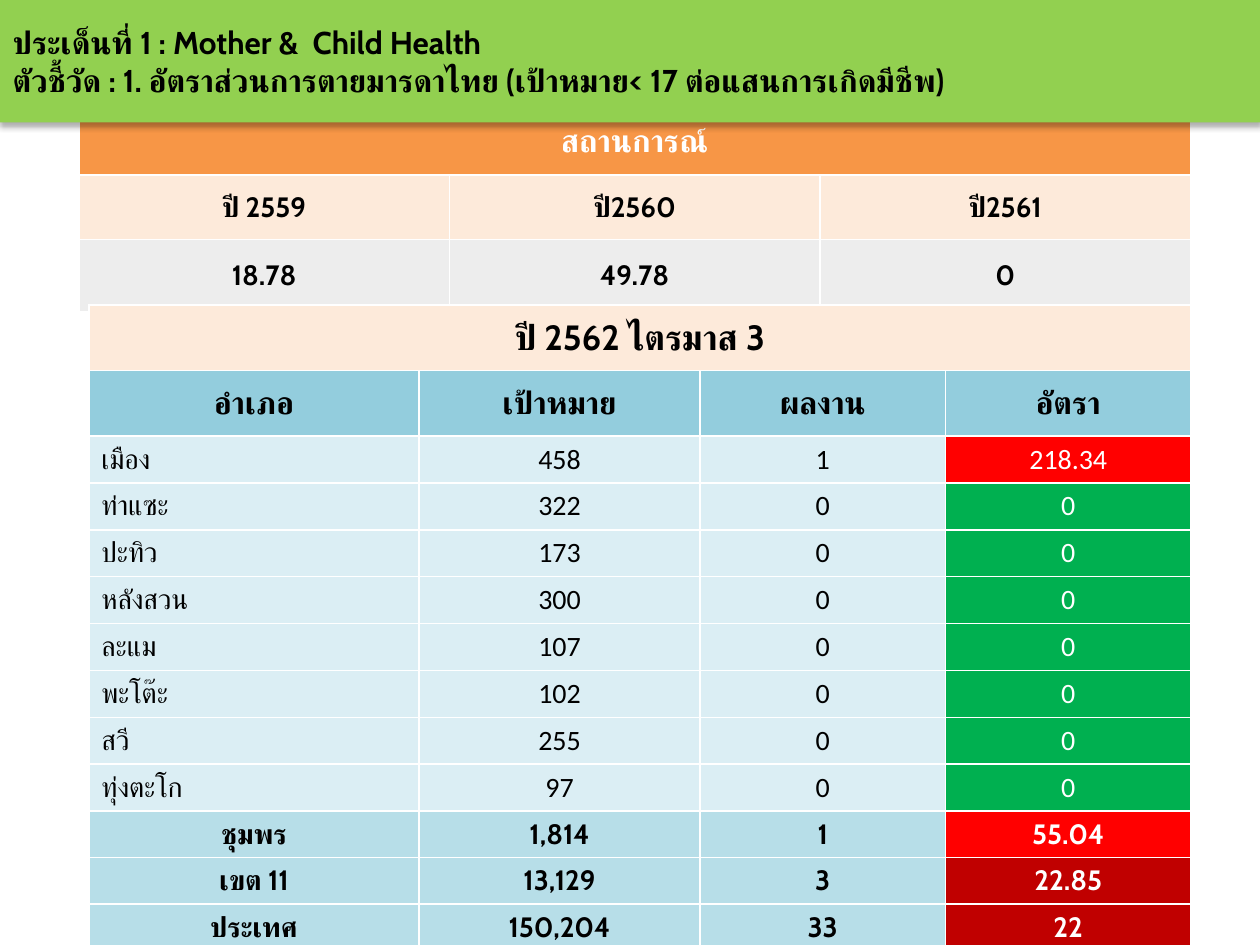
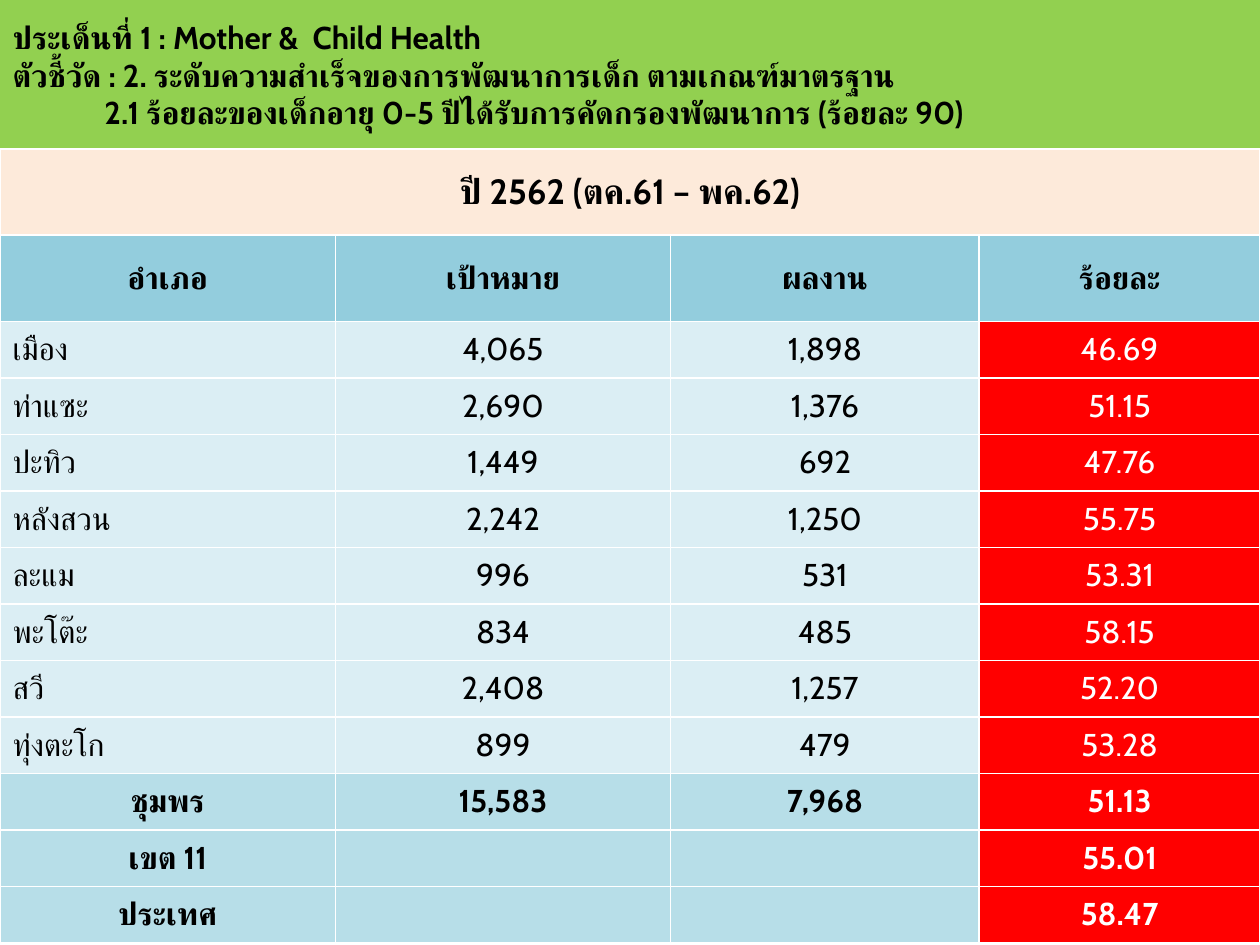
"""Builds two slides of mother and child health indicators."""
from lxml.etree import SubElement
from pptx import Presentation
from pptx.dml.color import RGBColor
from pptx.enum.text import MSO_ANCHOR as Anchor, MSO_AUTO_SIZE as AutoSize, PP_ALIGN as Align
from pptx.oxml.ns import qn
from pptx.util import Cm, Pt

BLACK = RGBColor(0x00, 0x00, 0x00)
WHITE = RGBColor(0xFF, 0xFF, 0xFF)
LIME = RGBColor(0x92, 0xD0, 0x50)
ORANGE = RGBColor(0xF7, 0x96, 0x46)
PEACH = RGBColor(0xFD, 0xEA, 0xDA)
GREY = RGBColor(0xED, 0xED, 0xED)
HEAD_BLUE = RGBColor(0x93, 0xCD, 0xDD)
TOTAL_BLUE = RGBColor(0xB7, 0xDE, 0xE8)
PALE_BLUE = RGBColor(0xDB, 0xEE, 0xF4)
RED = RGBColor(0xFF, 0x00, 0x00)
DARK_RED = RGBColor(0xC0, 0x00, 0x00)
GREEN = RGBColor(0x00, 0xB0, 0x50)

HEADING_FONT = "Cabin"
PLAIN_FONT = "Calibri"
TOPIC = "ประเด็นที่ 1 : Mother &  Child Health"
DISTRICTS = ["เมือง", "ท่าแซะ", "ปะทิว", "หลังสวน", "ละแม", "พะโต๊ะ", "สวี", "ทุ่งตะโก"]
AREAS = DISTRICTS + ["ชุมพร", "เขต 11", "ประเทศ"]

SITUATION = [
    ["สถานการณ์", "", ""],
    ["ปี 2559", "ปี2560", "ปี2561"],
    ["18.78", "49.78", "0"],
]
MATERNAL_DEATHS = [
    ("458", "1", "218.34"), ("322", "0", "0"), ("173", "0", "0"), ("300", "0", "0"),
    ("107", "0", "0"), ("102", "0", "0"), ("255", "0", "0"), ("97", "0", "0"),
    ("1,814", "1", "55.04"), ("13,129", "3", "22.85"), ("150,204", "33", "22"),
]
DEATH_COLOURS = [RED] + [GREEN] * 7 + [RED, DARK_RED, DARK_RED]
SCREENING = [
    ("4,065", "1,898", "46.69"), ("2,690", "1,376", "51.15"), ("1,449", "692", "47.76"),
    ("2,242", "1,250", "55.75"), ("996", "531", "53.31"), ("834", "485", "58.15"),
    ("2,408", "1,257", "52.20"), ("899", "479", "53.28"), ("15,583", "7,968", "51.13"),
    ("", "", "55.01"), ("", "", "58.47"),
]
SCREENING_COLOURS = [RED] * len(AREAS)


def write(paragraph, text, size=18, font=HEADING_FONT, colour=BLACK, bold=True,
          align=Align.CENTER, indent=0):
    paragraph.alignment = align
    if indent:
        properties = paragraph._p.get_or_add_pPr()
        properties.set("marL", str(Cm(indent)))
        properties.set("indent", "0")
    if not text:
        return
    run = paragraph.add_run()
    run.text = text
    run.font.size = Pt(size)
    run.font.name = font
    run.font.bold = bold
    run.font.color.rgb = colour
    SubElement(run._r.get_or_add_rPr(), qn("a:cs"), typeface=font)


class Deck:
    def __init__(self):
        self.prs = Presentation()
        self.prs.slide_width, self.prs.slide_height = Cm(25.4), Cm(19.05)
        self.slide = None

    def new_slide(self):
        self.slide = self.prs.slides.add_slide(self.prs.slide_layouts[5])

    def band(self, height, lines, on_top=False):
        title = self.slide.shapes.title
        title.left, title.top, title.width, title.height = 0, 0, self.prs.slide_width, Cm(height)
        title.fill.solid()
        title.fill.fore_color.rgb = LIME
        self.cast_shadow(title)
        frame = title.text_frame
        frame.auto_size = AutoSize.NONE
        frame.word_wrap = True
        frame.vertical_anchor = Anchor.MIDDLE
        for number, (line, indent) in enumerate(lines):
            paragraph = frame.add_paragraph() if number else frame.paragraphs[0]
            write(paragraph, line, align=Align.LEFT, indent=indent)
        if on_top:
            self.slide.shapes._spTree.append(title._element)

    def cast_shadow(self, shape):
        shape.shadow.inherit = False
        effects = shape._element.spPr.find(qn("a:effectLst"))
        shadow = SubElement(effects, qn("a:outerShdw"), blurRad=str(Pt(3.5)),
                            dist=str(Pt(2.2)), dir="5400000", rotWithShape="0")
        tint = SubElement(shadow, qn("a:srgbClr"), val=str(BLACK))
        SubElement(tint, qn("a:alpha"), val="32000")

    def table(self, left, top, widths, heights):
        grid = self.slide.shapes.add_table(
            len(heights), len(widths), Cm(left), Cm(top),
            Cm(sum(widths)), Cm(sum(heights))).table
        grid.horz_banding = False
        for column, width in zip(grid.columns, widths):
            column.width = Cm(width)
        for row, height in zip(grid.rows, heights):
            row.height = Cm(height)
        grid.cell(0, 0).merge(grid.cell(0, len(widths) - 1))
        return grid

    def cell(self, cell, text, fill, margin=None, **format_):
        cell.fill.solid()
        cell.fill.fore_color.rgb = fill
        cell.vertical_anchor = Anchor.MIDDLE
        if margin:
            cell.margin_left = cell.margin_right = Cm(margin)
            cell.margin_top = cell.margin_bottom = Cm(margin)
        write(cell.text_frame.paragraphs[0], text, **format_)

    def situation_table(self):
        grid = self.table(1.59, 2.18, [7.47] * 3, [1.35, 1.3, 1.45])
        styles = [(ORANGE, WHITE, 18), (PEACH, BLACK, 16), (GREY, BLACK, 16)]
        for r, (values, (fill, colour, size)) in enumerate(zip(SITUATION, styles)):
            for c, value in enumerate(values):
                self.cell(grid.cell(r, c), value, fill, margin=0.13, colour=colour, size=size)

    def district_table(self, place, widths, heights, period, rate_name, results,
                       rate_colours, size, district_font):
        head_height, row_height = heights
        grid = self.table(*place, widths, [head_height] * 2 + [row_height] * len(AREAS))
        self.cell(grid.cell(0, 0), period, PEACH, size=20)
        for c, heading in enumerate(["อำเภอ", "เป้าหมาย", "ผลงาน", rate_name]):
            self.cell(grid.cell(1, c), heading, HEAD_BLUE)
        for r, (area, figures, rate_fill) in enumerate(zip(AREAS, results, rate_colours), 2):
            total = area not in DISTRICTS
            fill = TOTAL_BLUE if total else PALE_BLUE
            style = dict(size=size, bold=total, font=HEADING_FONT if total else district_font)
            target, result, rate = figures
            self.cell(grid.cell(r, 0), area, fill,
                      align=Align.CENTER if total else Align.LEFT, **style)
            self.cell(grid.cell(r, 1), target, fill, **style)
            self.cell(grid.cell(r, 2), result, fill, **style)
            self.cell(grid.cell(r, 3), rate, rate_fill, colour=WHITE, **style)


def main():
    deck = Deck()

    deck.new_slide()
    deck.situation_table()
    deck.district_table((1.79, 6.15), [6.66, 5.66, 4.95, 4.95], (1.32, 0.93),
                        "ปี 2562 ไตรมาส 3", "อัตรา", MATERNAL_DEATHS, DEATH_COLOURS,
                        size=16, district_font=PLAIN_FONT)
    deck.band(2.47, [
        (TOPIC, 0),
        ("ตัวชี้วัด : 1. อัตราส่วนการตายมารดาไทย (เป้าหมาย< 17 ต่อแสนการเกิดมีชีพ)", 0),
    ], on_top=True)

    deck.new_slide()
    deck.band(3, [
        (TOPIC, 0),
        ("ตัวชี้วัด : 2. ระดับความสำเร็จของการพัฒนาการเด็ก ตามเกณฑ์มาตรฐาน", 0),
        ("2.1 ร้อยละของเด็กอายุ 0-5 ปีได้รับการคัดกรองพัฒนาการ (ร้อยละ 90)", 1.85),
    ])
    deck.district_table((0, 3), [6.76, 6.76, 6.22, 5.66], (1.74, 1.14),
                        "ปี 2562 (ตค.61 – พค.62)", "ร้อยละ", SCREENING, SCREENING_COLOURS,
                        size=18, district_font=HEADING_FONT)

    deck.prs.save("out.pptx")


if __name__ == "__main__":
    main()
